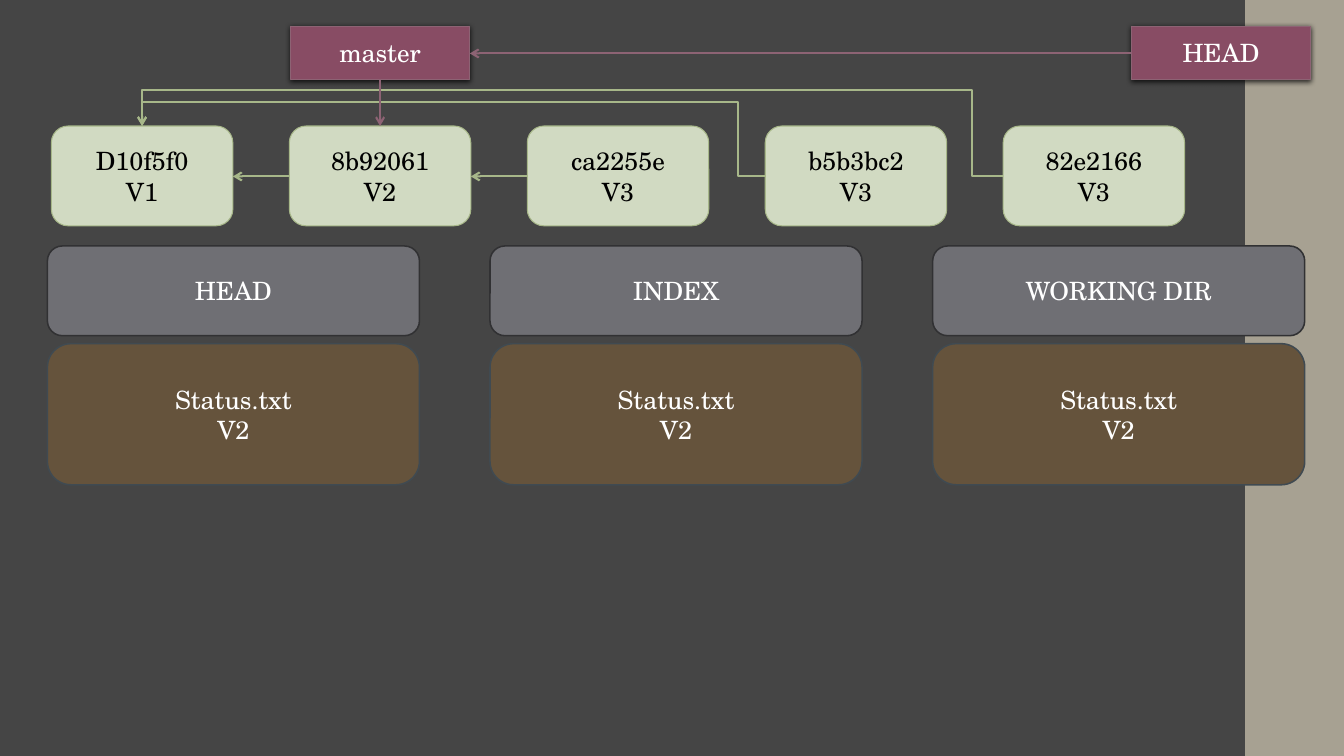
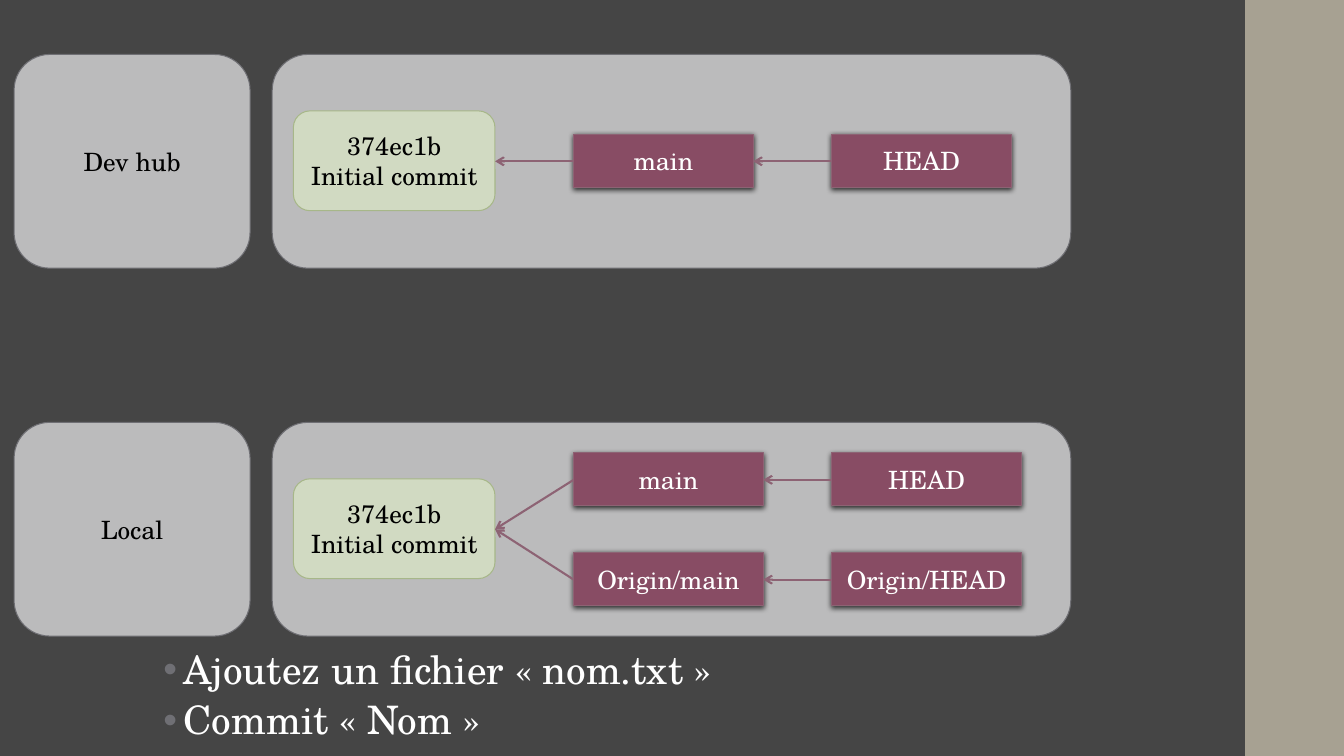
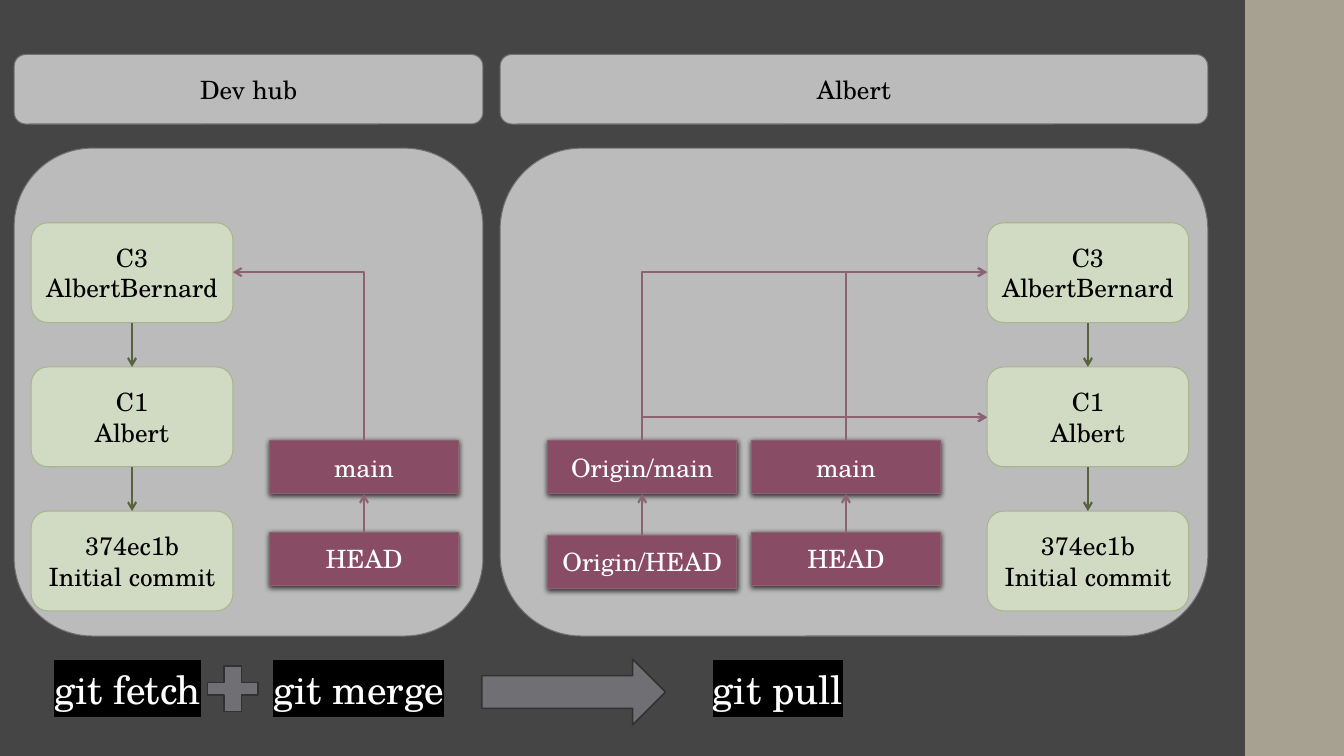
from lxml.etree import SubElement
from pptx import Presentation
from pptx.dml.color import RGBColor
from pptx.enum.shapes import MSO_CONNECTOR as CONNECTOR, MSO_SHAPE as SHAPE
from pptx.enum.text import MSO_AUTO_SIZE as AUTO_SIZE, PP_ALIGN as ALIGN
from pptx.oxml.ns import qn
from pptx.util import Pt

PX = 9144  # 100 px to the inch
FONT = "TeX Gyre Schola"
WHITE, BLACK = "FFFFFF", "000000"
BACKGROUND, BAND, GREY = "454545", "A7A192", "6F6F74"
PLUM, GREEN, DARK_GREEN = "8D6374", "A7B789", "56633D"
rgb = RGBColor.from_string

# preset, fill, line, line width, text colour
STYLES = {
    "file": (SHAPE.ROUNDED_RECTANGLE, "65533C", "404A51", 1.1, WHITE),
    "area": (SHAPE.ROUNDED_RECTANGLE, GREY, "313133", 1.1, WHITE),
    "commit": (SHAPE.ROUNDED_RECTANGLE, "D1DAC2", GREEN, 0.75, BLACK),
    "panel": (SHAPE.ROUNDED_RECTANGLE, "BBBBBC", GREY, 0.75, BLACK),
    "ref": (SHAPE.RECTANGLE, "884C64", PLUM, 0.75, WHITE),
    "arrow": (SHAPE.RIGHT_ARROW, GREY, "313133", 1.1, WHITE),
    "plus": (SHAPE.CROSS, GREY, "313133", 1.1, WHITE),
}


def add_box(slide, style, left, top, width, height, *lines):
    preset, fill, line, line_width, text_color = STYLES[style]
    shape = slide.shapes.add_shape(preset, left * PX, top * PX, width * PX, height * PX)
    shape.fill.solid()
    shape.fill.fore_color.rgb = rgb(fill)
    shape.line.color.rgb = rgb(line)
    shape.line.width = Pt(line_width)
    shape.shadow.inherit = False
    if style == "ref":
        effects = shape.element.spPr.find(qn("a:effectLst"))
        shadow = SubElement(effects, qn("a:outerShdw"), blurRad="50800", dist="15240",
                            dir="5400000", rotWithShape="0")
        color = SubElement(shadow, qn("a:srgbClr"), val=BLACK)
        SubElement(color, qn("a:alpha"), val="75000")
    if lines:
        shape.text_frame.text = "\n".join(lines)
        for paragraph in shape.text_frame.paragraphs:
            paragraph.alignment = ALIGN.CENTER
            paragraph.font.name = FONT
            paragraph.font.size = Pt(18)
            paragraph.font.color.rgb = rgb(text_color)
    return shape


def add_arrow(slide, color, source, tip, preset="line", adjustments=()):
    """Draw an arrow; a bentConnector2 leaves its source vertically."""
    # The two-part elbow starts horizontally, so it is drawn from its tip.
    reverse = preset == "bentConnector2"
    begin, end = (tip, source) if reverse else (source, tip)
    connector = slide.shapes.add_connector(
        CONNECTOR.STRAIGHT, *[value * PX for value in (*begin, *end)])
    connector.line.color.rgb = rgb(color)
    connector.line.width = Pt(1.5)
    properties = connector.element.spPr
    SubElement(properties.find(qn("a:ln")), qn("a:headEnd" if reverse else "a:tailEnd"),
               type="arrow")
    SubElement(properties, qn("a:effectLst"))
    geometry = properties.find(qn("a:prstGeom"))
    geometry.set("prst", preset)
    for number, value in enumerate(adjustments, 1):
        SubElement(geometry.find(qn("a:avLst")), qn("a:gd"), name=f"adj{number}",
                   fmla=f"val {round(value * 100000)}")


presentation = Presentation()
presentation.slide_width = 1333 * PX
presentation.slide_height = 750 * PX
content_layout, blank_layout = presentation.slide_layouts[1], presentation.slide_layouts[6]
reset_slide = presentation.slides.add_slide(blank_layout)
clone_slide = presentation.slides.add_slide(content_layout)
pull_slide = presentation.slides.add_slide(content_layout)
for slide in (clone_slide, pull_slide):
    title = slide.shapes.title.element
    title.getparent().remove(title)

# Shared background and side band, kept on the master
master = presentation.slide_master
master.background.fill.solid()
master.background.fill.fore_color.rgb = rgb(BACKGROUND)
band = reset_slide.shapes.add_shape(SHAPE.RECTANGLE, 1235 * PX, 0, 100 * PX, 750 * PX)
band.fill.solid()
band.fill.fore_color.rgb = rgb(BAND)
band.line.fill.background()
band.shadow.inherit = False
band.element.nvSpPr.cNvPr.set("id", "20")
master.shapes.element.insert(2, band.element)

# Slide 1: commits, branch pointers and the three areas
for column, area in enumerate(("HEAD", "INDEX", "WORKING DIR")):
    left = 47 + 439 * column
    add_box(reset_slide, "file", left, 341, 369, 140, "Status.txt", "V2")
    add_box(reset_slide, "area", left, 244, 369, 89, area)
commits = (("D10f5f0", "V1"), ("8b92061", "V2"), ("ca2255e", "V3"),
           ("b5b3bc2", "V3"), ("82e2166", "V3"))
for column, commit in enumerate(commits):
    left = 51 + 236 * column
    add_box(reset_slide, "commit", left, 125, 180, 99, *commit)
    if column in (1, 2):
        add_arrow(reset_slide, GREEN, (left, 175), (left - 56, 175))
for left, adjustments in ((995, (0.036, 1.721)), (759, (0.044, 1.476))):
    add_arrow(reset_slide, GREEN, (left, 175), (141, 125), "bentConnector4", adjustments)
for left, name in ((1122, "HEAD"), (288, "master")):
    add_box(reset_slide, "ref", left, 26, 178, 53, name)
add_arrow(reset_slide, PLUM, (1122, 53), (466, 53))
add_arrow(reset_slide, PLUM, (377, 79), (377, 125))

# Slide 2: remote and local repositories
repositories = (
    ("Dev hub", 54, 178, ((133, "main", "HEAD"),)),
    ("Local", 419, 188, ((449, "main", "HEAD"), (548, "Origin/main", "Origin/HEAD"))),
)
for name, top, ref_width, refs in repositories:
    add_box(clone_slide, "panel", 270, top, 792, 212)
    add_box(clone_slide, "panel", 14, top, 234, 212, name)
    add_box(clone_slide, "commit", 291, top + 56, 200, 99, "374ec1b", "Initial commit")
    for ref_top, branch, head in refs:
        middle = ref_top + 27
        add_box(clone_slide, "ref", 569, ref_top, ref_width, 53, branch)
        add_box(clone_slide, "ref", 825, ref_top, ref_width, 53, head)
        add_arrow(clone_slide, PLUM, (569, middle), (491, top + 106))
        add_arrow(clone_slide, PLUM, (825, middle), (569 + ref_width, middle))

# Slide 3: remote and local history after a pull
history = (("C3", "AlbertBernard"), ("C1", "Albert"), ("374ec1b", "Initial commit"))
for name, left, width, commit_left in (("Dev hub", 14, 465, 31), ("Albert", 496, 702, 979)):
    add_box(pull_slide, "panel", left, 147, width, 484)
    add_box(pull_slide, "panel", left, 54, width, 69, name)
    for row, commit in enumerate(history):
        top = 221 + 143 * row
        add_box(pull_slide, "commit", commit_left, top, 200, 99, *commit)
        if row:
            center = commit_left + 100
            add_arrow(pull_slide, DARK_GREEN, (center, top - 44), (center, top))
pointers = (
    (267, 528, "main", "HEAD", ((231, 270),)),
    (543, 531, "Origin/main", "Origin/HEAD", ((979, 414), (979, 270))),
    (745, 528, "main", "HEAD", ((979, 414), (979, 270))),
)
for left, head_top, branch, head, tips in pointers:
    center = left + 94
    add_box(pull_slide, "ref", left, head_top, 188, 53, head)
    add_box(pull_slide, "ref", left, 437, 188, 53, branch)
    add_arrow(pull_slide, PLUM, (center, head_top), (center, 490))
    for tip in tips:
        add_arrow(pull_slide, PLUM, (center, 437), tip, "bentConnector2")
add_box(pull_slide, "arrow", 478, 654, 182, 65)
plus = add_box(pull_slide, "plus", 206, 661, 50, 45)
plus.adjustments[0] = 0.363

# Body texts: bulleted tasks on slide 2, highlighted commands on slide 3
tasks = ("Ajoutez un fichier «\u00a0nom.txt\u00a0»".replace("\u00a0", " "), "Commit « Nom »")
bodies = (
    (clone_slide.placeholders[1], (122, 640, 940, 110), tasks, True),
    (pull_slide.placeholders[1], (14, 660, 234, 69), ("git fetch",), False),
    (pull_slide.shapes.add_textbox(0, 0, PX, PX), (231, 660, 229, 69), ("git merge",), False),
    (pull_slide.shapes.add_textbox(0, 0, PX, PX), (667, 660, 229, 69), ("git pull",), False),
)
for body, box, lines, bulleted in bodies:
    body.left, body.top, body.width, body.height = [value * PX for value in box]
    frame = body.text_frame
    frame.word_wrap = True
    frame.auto_size = AUTO_SIZE.NONE
    frame.text = "\n".join(lines)
    for paragraph in frame.paragraphs:
        properties = paragraph._p.get_or_add_pPr()
        properties.set("marL", str((50 if bulleted else 30) * PX))
        properties.set("indent", str((-20 if bulleted else 0) * PX))
        if bulleted:
            bullet_color = SubElement(properties, qn("a:buClr"))
            SubElement(bullet_color, qn("a:srgbClr"), val=GREY)
            SubElement(properties, qn("a:buChar"), char="•")
        else:
            SubElement(properties, qn("a:buNone"))
            run_properties = paragraph.runs[0]._r.get_or_add_rPr()
            highlight = SubElement(run_properties, qn("a:highlight"))
            SubElement(highlight, qn("a:srgbClr"), val=BLACK)
        paragraph.level = 1
        paragraph.line_spacing = 0.9
        paragraph.space_before = paragraph.space_after = Pt(3)
        paragraph.font.name = FONT
        paragraph.font.size = Pt(28)
        paragraph.font.color.rgb = rgb(WHITE)

presentation.save("out.pptx")
